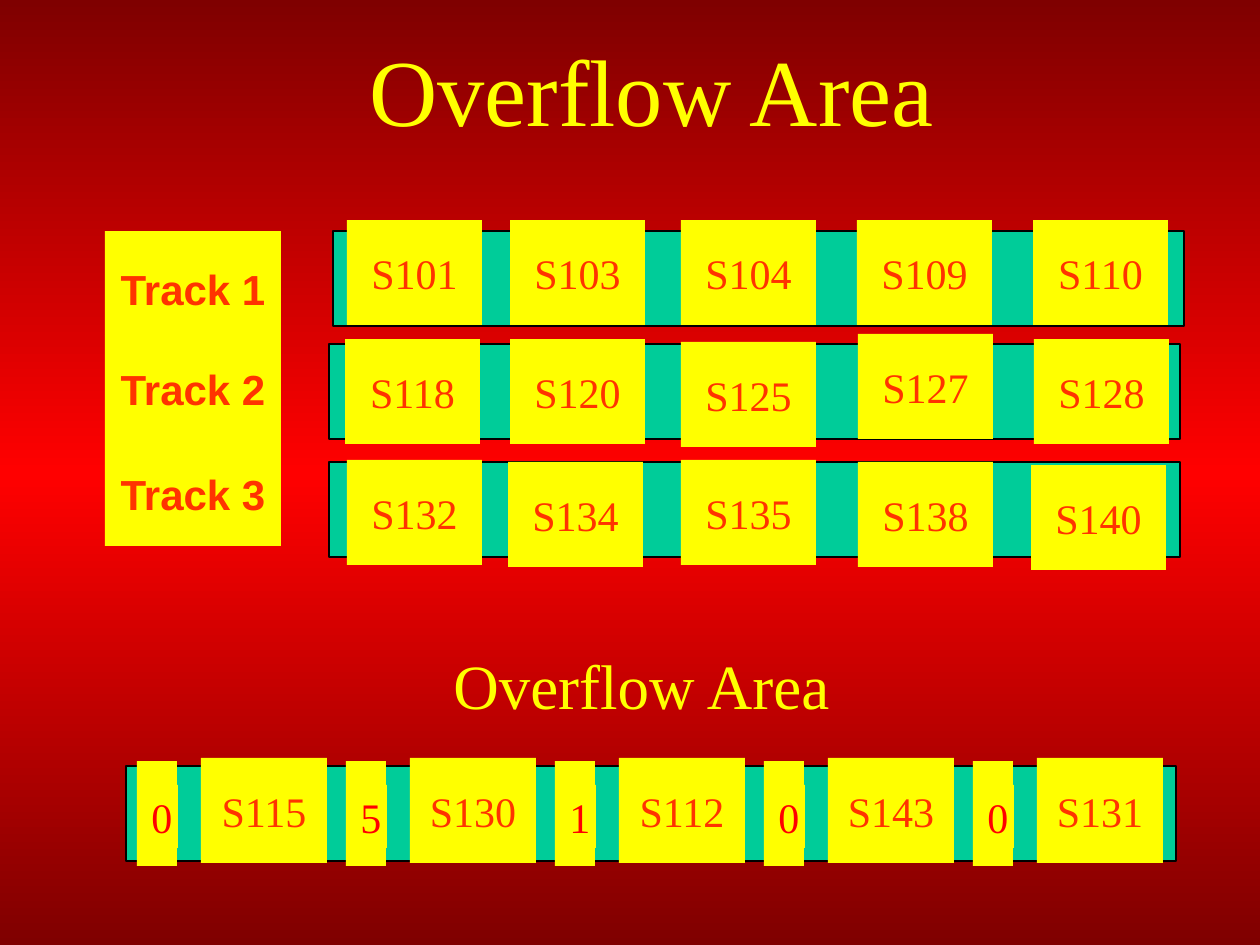
from copy import deepcopy

from pptx import Presentation
from pptx.dml.color import RGBColor
from pptx.enum.shapes import MSO_SHAPE as SHAPE
from pptx.enum.text import MSO_ANCHOR as ANCHOR, MSO_AUTO_SIZE as AUTO, PP_ALIGN as ALIGN
from pptx.oxml.ns import qn
from pptx.util import Inches, Pt

PX = Inches(1) / 126
YELLOW = RGBColor(0xFF, 0xFF, 0x00)
TEAL = RGBColor(0x00, 0xCC, 0x99)
ORANGE = RGBColor(0xFF, 0x33, 0x00)
RED = RGBColor(0xFF, 0x00, 0x00)
MAROON = RGBColor(0x7F, 0x00, 0x00)
BLACK = RGBColor(0x00, 0x00, 0x00)

SERIF = "Times New Roman"
TITLE = {"size": Pt(54), "name": SERIF}
SUBTITLE = {"size": Pt(36), "name": SERIF}
RECORD = {"size": Pt(24), "name": SERIF}
TRACK = {"size": Pt(24), "name": "Arial", "bold": True}
CENTRED = {"vertical_anchor": ANCHOR.MIDDLE, "word_wrap": True}
TOP = {"vertical_anchor": ANCHOR.TOP, "word_wrap": True, "auto_size": AUTO.SHAPE_TO_FIT_TEXT}
ONE_LINE = {**TOP, "word_wrap": False}
TRACK_INSETS = {"margin_left": 0, "margin_top": Inches(0.08), "margin_right": 0, "margin_bottom": 0}

TRACK_ROWS = [
    (333, 231, [("S101", 14, -11), ("S103", 177, -11), ("S104", 348, -11),
                ("S109", 524, -11), ("S110", 700, -11)]),
    (329, 344, [("S118", 16, -5), ("S120", 181, -5), ("S125", 352, -2),
                ("S127", 529, -10), ("S128", 705, -5)]),
    (329, 462, [("S132", 18, -2), ("S134", 179, 0), ("S135", 352, -2),
                ("S138", 529, 0), ("S140", 702, 3)]),
]
OVERFLOW = [("0", "S115"), ("5", "S130"), ("1", "S112"), ("0", "S143"), ("0", "S131")]


def emu(*lengths):
    """Turn px lengths into EMU."""
    return [round(v * PX) for v in lengths]


def write(sp, text, font, color, frame, align=ALIGN.CENTER):
    """Put one formatted paragraph into a shape."""
    tf = sp.text_frame
    for name, value in frame.items():
        setattr(tf, name, value)
    p = tf.paragraphs[0]
    p.alignment = align
    r = p.add_run()
    r.text = text
    for name, value in font.items():
        setattr(r.font, name, value)
    r.font.color.rgb = color


def add_box(shapes, x, y, w, h, fill=YELLOW, line=None):
    """Add a flat rectangle, outlined only when a line colour is given."""
    sp = shapes.add_shape(SHAPE.RECTANGLE, *emu(x, y, w, h))
    sp.shadow.inherit = False
    sp.fill.solid()
    sp.fill.fore_color.rgb = fill
    if line is None:
        sp.line.fill.background()
    else:
        sp.line.color.rgb = line
        sp.line.width = Pt(0.75)
    return sp


def add_background(s):
    """Fill the slide with a vertical maroon-red-maroon gradient."""
    fill = s.background.fill
    fill.gradient()
    fill.gradient_angle = 270
    stops = s.element.find(".//" + qn("a:gsLst"))
    stops.append(deepcopy(stops[-1]))
    for stop, position, color in zip(fill.gradient_stops, (0, 0.5, 1), (MAROON, RED, MAROON)):
        stop.position = position
        stop.color.rgb = color


def add_title(s, x, y, w, h):
    """Place and format the title placeholder."""
    title = s.shapes.title
    title.left, title.top, title.width, title.height = emu(x, y, w, h)
    write(title, "Overflow Area", TITLE, YELLOW, CENTRED)


def add_track_labels(shapes, x, y, w, h):
    """Stack the track names in equal cells."""
    for i in range(3):
        frame = {**CENTRED, **TRACK_INSETS} if i == 0 else CENTRED
        sp = add_box(shapes, x, y + i * h, w, h)
        write(sp, f"Track {i + 1}", TRACK, ORANGE, frame)


def add_track_row(shapes, x, y, w, h, records):
    """Draw a track bar with its records at offsets from the bar."""
    add_box(shapes, x, y, w, h, TEAL, BLACK)
    for text, dx, dy in records:
        write(add_box(shapes, x + dx, y + dy, 135, 105), text, RECORD, ORANGE, CENTRED)


def add_overflow_row(shapes, x, y, w, h):
    """Draw the overflow bar with evenly spaced pointer and record pairs."""
    add_box(shapes, x, y, w, h, TEAL, BLACK)
    for i, (pointer, record) in enumerate(OVERFLOW):
        left = x + 11 + 209 * i
        write(add_box(shapes, left + 64, y - 8, 126, 105), record, RECORD, ORANGE, CENTRED)
        add_box(shapes, left, y - 5, 40, 105)
        write(add_box(shapes, left + 2, y + 19, 39, 63), pointer, RECORD, RED, TOP, ALIGN.LEFT)


def add_subtitle(s, x, y, w, h):
    """Name the overflow row above it."""
    sp = s.shapes.add_textbox(*emu(x, y, w, h))
    write(sp, "Overflow Area", SUBTITLE, YELLOW, ONE_LINE, ALIGN.LEFT)


def main():
    """Build and save the slide."""
    prs = Presentation()
    prs.slide_width, prs.slide_height = emu(1260, 945)
    s = prs.slides.add_slide(prs.slide_layouts[5])
    add_background(s)
    add_title(s, 116, 31, 1071, 116)
    tracks = s.shapes.add_group_shape().shapes
    add_track_labels(tracks, 105, 231, 176, 105)
    for x, y, records in TRACK_ROWS:
        add_track_row(tracks, x, y, 851, 95, records)
    add_overflow_row(s.shapes.add_group_shape().shapes, 126, 766, 1050, 95)
    add_subtitle(s, 441, 640, 404, 88)
    prs.save("out.pptx")


if __name__ == "__main__":
    main()
